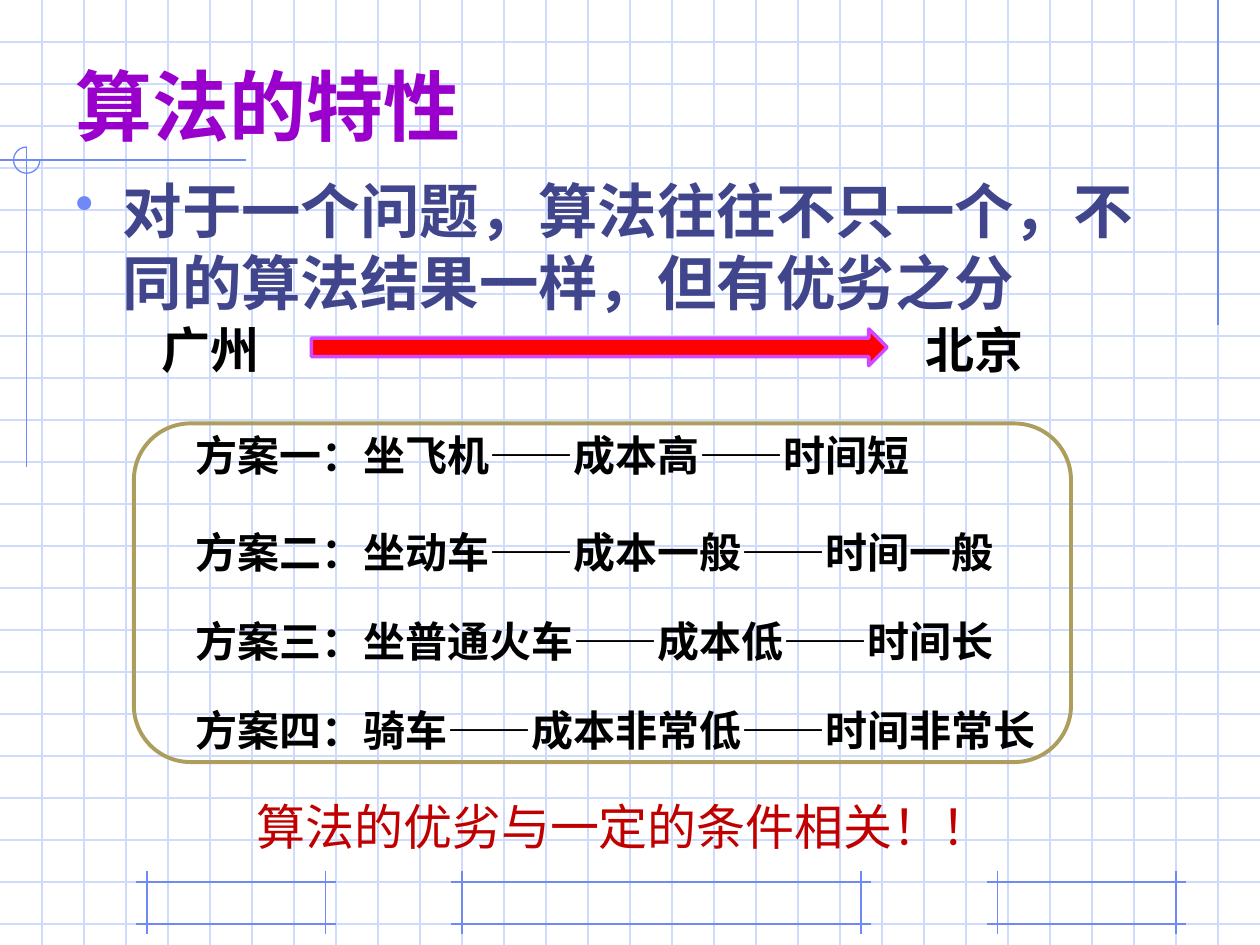
from dataclasses import dataclass

import pptx
import pptx.dml.color
import pptx.enum.shapes
import pptx.enum.text
import pptx.oxml
import pptx.oxml.ns
import pptx.util

Pt = pptx.util.Pt
SHAPE = pptx.enum.shapes.MSO_SHAPE
ANCHOR = pptx.enum.text.MSO_ANCHOR
AUTO_SIZE = pptx.enum.text.MSO_AUTO_SIZE


@dataclass(frozen=True)
class Theme:
    grid: str = "CFDBFD"
    accent: str = "6F89F7"
    title: str = "9900CC"
    body: str = "40458C"
    ink: str = "000000"
    panel: str = "AD9E5E"
    arrow: str = "FF0000"
    arrow_edge: str = "D147FF"
    conclusion: str = "C00000"
    heading_font: str = "Lato"
    label_font: str = "Calibri"
    title_size: float = 44
    body_size: float = 34
    label_size: float = 28
    plan_size: float = 24
    hairline: float = 0.75


@dataclass(frozen=True)
class Box:
    left: float
    top: float
    width: float
    height: float

    def lengths(self):
        return [Pt(v) for v in (self.left, self.top, self.width, self.height)]


@dataclass(frozen=True)
class Label:
    text: str
    box: Box
    size: float
    color: str
    bold: bool = True


THEME = Theme()
WIDTH, HEIGHT, GRID = 720, 540, 24
FRAMES = [Box(264, 504, 228, 24), Box(570, 504, 102, 24), Box(84, 504, 102, 24)]
OVERHANG = 6

PLANS = [
    ("方案一：坐飞机——成本高——时间短", 242, 424),
    ("方案二：坐动车——成本一般——时间一般", 297.5, 472),
    ("方案三：坐普通火车——成本低——时间长", 348, 472),
    ("方案四：骑车——成本非常低——时间非常长", 399, 496),
]
LABELS = [
    Label("广州", Box(85, 179, 72, 41), THEME.label_size, THEME.ink),
    Label("北京", Box(522, 179, 72, 41), THEME.label_size, THEME.ink),
    *(Label(text, Box(104.5, top, width, 36), THEME.plan_size, THEME.ink)
      for text, top, width in PLANS),
    Label("算法的优劣与一定的条件相关！！", Box(139.5, 451.5, 435, 41),
          THEME.label_size, THEME.conclusion, bold=False),
]


def rgb(color: str):
    return pptx.dml.color.RGBColor.from_string(color)


def add_line(s, x1: float, y1: float, x2: float, y2: float, color: str = THEME.accent):
    line = s.shapes.add_connector(
        pptx.enum.shapes.MSO_CONNECTOR.STRAIGHT, Pt(x1), Pt(y1), Pt(x2), Pt(y2))
    line.line.color.rgb = rgb(color)
    line.line.width = Pt(THEME.hairline)
    line._element.spPr.append(pptx.oxml.parse_xml(
        f'<a:effectLst {pptx.oxml.ns.nsdecls("a")}/>'))


def add_outline(s, kind, box: Box, *, line: str, width: float, fill: str = "",
                adjustments: tuple = ()):
    sp = s.shapes.add_shape(kind, *box.lengths())
    sp.shadow.inherit = False
    for i, value in enumerate(adjustments):
        sp.adjustments[i] = value
    if fill:
        sp.fill.solid()
        sp.fill.fore_color.rgb = rgb(fill)
    else:
        sp.fill.background()
    sp.line.color.rgb = rgb(line)
    sp.line.width = Pt(width)


def add_text(s, text: str, box: Box, *, size: float, color: str, font: str,
             bold: bool = True, wrap: bool = True, anchor=ANCHOR.TOP):
    """Add a one-paragraph text box and return its paragraph."""
    tf = s.shapes.add_textbox(*box.lengths()).text_frame
    tf.word_wrap = wrap
    tf.auto_size = AUTO_SIZE.NONE if wrap else AUTO_SIZE.SHAPE_TO_FIT_TEXT
    tf.vertical_anchor = anchor
    p = tf.paragraphs[0]
    r = p.add_run()
    r.text = text
    r.font.size = Pt(size)
    r.font.name = font
    r.font.bold = bold
    r.font.color.rgb = rgb(color)
    return p


def add_bullet(p, color: str, indent: float, percent: int):
    pPr = p._p.get_or_add_pPr()
    pPr.set("marL", str(Pt(indent)))
    pPr.set("indent", str(-Pt(indent)))
    ns = pptx.oxml.ns.nsdecls("a")
    for xml in (f'<a:buClr {ns}><a:srgbClr val="{color}"/></a:buClr>',
                f'<a:buSzPct {ns} val="{percent * 1000}"/>',
                f'<a:buChar {ns} char="•"/>'):
        pPr.append(pptx.oxml.parse_xml(xml))


def draw_grid(s):
    for y in range(GRID, HEIGHT, GRID):
        add_line(s, 0, y, WIDTH, y, THEME.grid)
    for x in range(GRID, WIDTH, GRID):
        add_line(s, x, 0, x, HEIGHT, THEME.grid)


def draw_frame(s, box: Box):
    """Draw a box whose four sides run past its corners."""
    right, bottom = box.left + box.width, box.top + box.height
    for y in (box.top, bottom):
        add_line(s, box.left - OVERHANG, y, right + OVERHANG, y)
    for x in (box.left, right):
        add_line(s, x, box.top - OVERHANG, x, bottom + OVERHANG)


def draw_background(s):
    draw_grid(s)
    for box in FRAMES:
        draw_frame(s, box)
    add_line(s, 696, 0, 696, 186)
    add_line(s, 140.5, 91.5, 0, 91.5)
    add_line(s, 15.25, 84, 15.25, 267)
    # Three quarters of a circle, clockwise from 0 to 270 degrees
    add_outline(s, SHAPE.ARC, Box(7.75, 84, 15, 15), line=THEME.accent,
                width=THEME.hairline, adjustments=(0, 162))


def main():
    prs = pptx.Presentation()
    prs.slide_width, prs.slide_height = Pt(WIDTH), Pt(HEIGHT)
    s = prs.slides.add_slide(prs.slide_layouts[6])
    draw_background(s)

    add_text(s, "算法的特性", Box(36, 18, 612, 72), size=THEME.title_size,
             color=THEME.title, font=THEME.heading_font, anchor=ANCHOR.BOTTOM)
    p = add_text(s, "对于一个问题，算法往往不只一个，不同的算法结果一样，但有优劣之分",
                 Box(36, 96, 648, 389), size=THEME.body_size, color=THEME.body,
                 font=THEME.heading_font)
    p.space_before = Pt(8.5)
    add_bullet(p, THEME.accent, indent=27, percent=90)

    add_outline(s, SHAPE.ROUNDED_RECTANGLE, Box(76.5, 242, 535.5, 193.5),
                line=THEME.panel, width=2.25, adjustments=(0.167,))
    add_outline(s, SHAPE.RIGHT_ARROW, Box(178, 188, 329, 21), fill=THEME.arrow,
                line=THEME.arrow_edge, width=2, adjustments=(0.5, 0.5))
    for label in LABELS:
        add_text(s, label.text, label.box, size=label.size, color=label.color,
                 font=THEME.label_font, bold=label.bold, wrap=False)
    prs.save("out.pptx")


if __name__ == "__main__":
    main()
